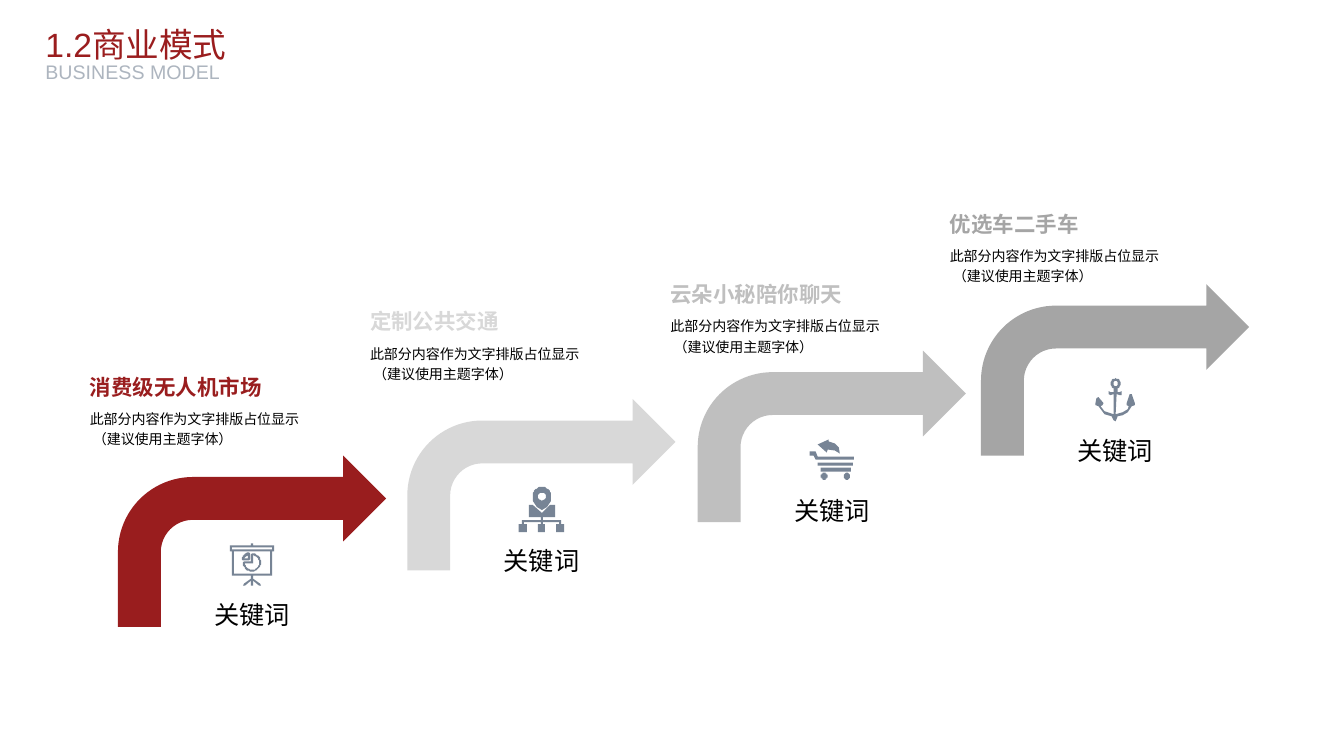
from dataclasses import dataclass
from math import cos, radians, sin

from pptx import Presentation
from pptx.dml.color import RGBColor
from pptx.enum.shapes import MSO_SHAPE as Shape
from pptx.enum.text import MSO_ANCHOR as Anchor, MSO_AUTO_SIZE as AutoSize, PP_ALIGN as Align
from pptx.util import Inches, Pt


@dataclass(frozen=True)
class Theme:
    font: str = "Arial"
    title: str = "9A1D1E"
    subtitle: str = "ADB5BF"
    text: str = "000000"
    icon: str = "778495"
    title_size: float = 24
    subtitle_size: float = 14
    heading_size: float = 15.3
    keyword_size: float = 18
    body_size: float = 10
    line_spacing: float = 1.2


THEME = Theme()


def rect(x1, y1, x2, y2):
    return [(x1, y1), (x2, y1), (x2, y2), (x1, y2)]


def arc(cx, cy, radius, start=0, end=360, steps=32):
    """Points along an arc; angles run clockwise from the right, in degrees."""
    angles = [radians(start + (end - start) * i / steps) for i in range(steps + 1)]
    return [(cx + radius * cos(a), cy + radius * sin(a)) for a in angles]


# Icon outlines, in hundredths of an inch from the icon's top left corner.
BOARD = [
    rect(21, 0, 23, 2),
    rect(0, 2, 44, 8), rect(2, 4, 42, 6),
    [(2, 8), (4, 8), (4, 30), (40, 30), (40, 8), (42, 8), (42, 32), (2, 32)],
    rect(21, 32, 23, 42),
    [(21, 35), (14, 40), (13, 42), (15, 42), (21, 37)],
    [(23, 35), (30, 40), (31, 42), (29, 42), (23, 37)],
    arc(22, 19, 9, -90, 180) + [(14, 18), (21, 18), (21, 11)],
    arc(22, 19, 7, -80, 170) + [(23, 20)],
    arc(19, 16, 7, 180, 270) + [(20, 10), (20, 16), (19, 17), (13, 17)],
    [(18, 12), (18, 15), (14, 15), (15.5, 13)],
]
NETWORK = [
    arc(23, 9.5, 9.5, 180, 360) + [(31.5, 14), (28, 19.5), (23, 23), (18, 19.5), (14.5, 14)],
    arc(23, 9.5, 4),
    [(10, 18), (14, 18), (22, 25), (23, 26), (24, 25), (31, 18), (36, 18), (36, 30),
     (24, 30), (24, 33), (42, 33), (42, 37), (45, 37), (45, 45), (37, 45), (37, 37),
     (40, 37), (40, 35), (24, 35), (24, 37), (26, 37), (26, 45), (19, 45), (19, 37),
     (22, 37), (22, 35), (5, 35), (5, 37), (8, 37), (8, 45), (0, 45), (0, 37),
     (3, 37), (3, 33), (22, 33), (22, 30), (10, 30)],
]
CART = [
    [(19, 0), (19, 2), (25, 4), (29, 8), (30, 14), (25, 11), (18, 10), (17, 13), (8, 5)],
    [(0, 12), (6, 12), (8, 17), (44, 17), (44, 20), (6, 20), (4, 16), (0, 16)],
    rect(8, 23, 43, 26), rect(11, 28, 41, 32),
    arc(14.5, 36.5, 3.5), arc(37, 36.5, 3.5),
]
ANCHOR = [
    arc(20, 5.5, 5), arc(20, 5.5, 2.5),
    [(18.5, 10), (21.5, 10), (21.5, 14), (24, 14), (26, 13), (26, 17), (24, 17),
     (21, 16.5), (20.5, 36), (27, 34), (32, 31), (33, 28), (31, 27), (31, 25),
     (34, 16), (36, 16), (39, 25), (39, 27), (36, 28), (32, 34), (27, 37),
     (22, 38.5), (20, 43), (18, 42), (16, 38), (9, 36), (3, 28), (0, 27), (0, 25),
     (1, 20), (3, 19), (8, 25), (7, 27), (5, 28), (9, 33), (18, 36), (18, 16.5),
     (15, 17), (13, 16), (13, 13), (15, 13.5), (18.5, 14)],
]

TITLE = "1.2商业模式"
SUBTITLE = "BUSINESS MODEL"
KEYWORD = "关键词"
BODY = "此部分内容作为文字排版占位显示\v （建议使用主题字体）"

# heading, colour, arrow (left, top), heading (left, top), keyword top, icon top, icon
STEPS = [
    ("消费级无人机市场", "991D1E", (1.17, 4.52), (0.89, 3.66), 5.66, 5.39, BOARD),
    ("定制公共交通", "D8D8D8", (4.04, 3.96), (3.67, 3.01), 5.12, 4.83, NETWORK),
    ("云朵小秘陪你聊天", "BFBFBF", (6.92, 3.48), (6.65, 2.74), 4.62, 4.36, CART),
    ("优选车二手车", "A5A5A5", (9.73, 2.82), (9.42, 2.04), 4.03, 3.75, ANCHOR),
]
ARROW_W, ARROW_H = 2.66, 1.7
TEXT_W, HEADING_H, BODY_H = 2.89, 0.3, 0.61
BODY_DROP = 0.38
KEYWORD_W, KEYWORD_H, KEYWORD_SHIFT = 1.72, 0.82, 0.47


def paint(sp, color):
    sp.fill.solid()
    sp.fill.fore_color.rgb = RGBColor.from_string(color)
    sp.line.fill.background()
    sp.shadow.inherit = False


def write(sp, text, size, color, bold=False, align=Align.LEFT, anchor=Anchor.TOP,
          wrap=True, bottom=0):
    tf = sp.text_frame
    tf.margin_left = tf.margin_top = tf.margin_right = 0
    tf.margin_bottom = Inches(bottom)
    tf.auto_size = AutoSize.NONE
    tf.word_wrap = wrap
    tf.vertical_anchor = anchor
    p = tf.paragraphs[0]
    p.text = text
    p.alignment = align
    p.line_spacing = THEME.line_spacing
    for r in p.runs:
        r.font.name = THEME.font
        r.font.size = Pt(size)
        r.font.bold = bold
        r.font.color.rgb = RGBColor.from_string(color)


def add_text(s, box, *args, **kwargs):
    write(s.shapes.add_textbox(*map(Inches, box)), *args, **kwargs)


def add_icon(s, outlines, center, top):
    """Draw all outlines as one shape, so that inner outlines become holes."""
    width = max(x for points in outlines for x, _ in points) / 100
    builder = s.shapes.build_freeform(*outlines[0][0], scale=Inches(0.01))
    for i, points in enumerate(outlines):
        if i:
            builder.move_to(*points[0])
        builder.add_line_segments(points[1:], close=True)
    sp = builder.convert_to_shape(Inches(center - width / 2), Inches(top))
    paint(sp, THEME.icon)


def add_step(s, heading, color, arrow, text_at, keyword_top, icon_top, icon):
    left, top = arrow
    sp = s.shapes.add_shape(Shape.BENT_ARROW, *map(Inches, (left, top, ARROW_W, ARROW_H)))
    paint(sp, color)

    keyword_left = left + KEYWORD_SHIFT
    add_icon(s, icon, keyword_left + KEYWORD_W / 2, icon_top)
    add_text(s, (keyword_left, keyword_top, KEYWORD_W, KEYWORD_H), KEYWORD,
             THEME.keyword_size, THEME.text, align=Align.CENTER,
             anchor=Anchor.MIDDLE, wrap=False)

    x, y = text_at
    add_text(s, (x, y + BODY_DROP, TEXT_W, BODY_H), BODY, THEME.body_size, THEME.text)
    add_text(s, (x, y, TEXT_W, HEADING_H), heading, THEME.heading_size, color,
             bold=True, wrap=False)


def main():
    prs = Presentation()
    prs.slide_width, prs.slide_height = Inches(13.33), Inches(7.5)
    s = prs.slides.add_slide(prs.slide_layouts[5])

    title = s.shapes.title
    title.left, title.top, title.width, title.height = map(Inches, (0.45, 0.16, 1.91, 1.02))
    write(title, TITLE, THEME.title_size, THEME.title, bottom=0.05)
    add_text(s, (0.45, 0.55, 1.75, 0.31), SUBTITLE, THEME.subtitle_size,
             THEME.subtitle, wrap=False, bottom=0.05)

    for step in STEPS:
        add_step(s, *step)
    prs.save("out.pptx")


if __name__ == "__main__":
    main()
